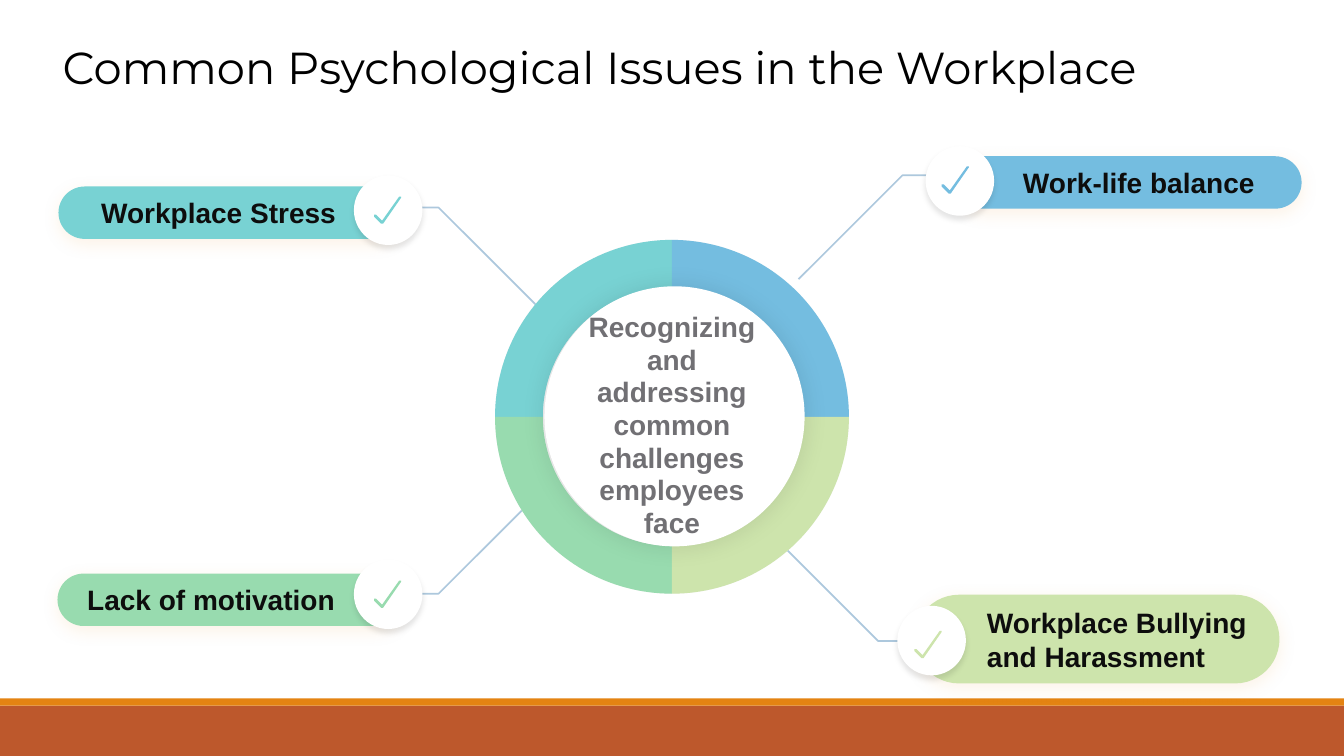
"""Build a slide with a four-part ring and four labelled workplace issues."""
from dataclasses import dataclass

from lxml.etree import SubElement
from pptx import Presentation
from pptx.dml.color import RGBColor
from pptx.enum.shapes import MSO_SHAPE as Preset
from pptx.enum.text import MSO_ANCHOR as Anchor, PP_ALIGN as Align
from pptx.oxml.ns import qn
from pptx.util import Inches, Pt


@dataclass(frozen=True)
class Theme:
    teal: str = "78D2D3"
    blue: str = "74BDE0"
    green: str = "98DBAF"
    lime: str = "CDE4AC"
    leader: str = "ADC8DD"
    orange: str = "E48312"
    rust: str = "BD582C"
    white: str = "FFFFFF"
    ring_base: str = "F2F2F2"
    black: str = "000000"
    label: str = "0D0D0D"
    hub_text: str = "717074"
    title_font: str = "Montserrat"
    body_font: str = "Arial"
    title_size: int = 32
    body_size: int = 20


@dataclass(frozen=True)
class Issue:
    text: str
    color: str
    pill: tuple
    badge: tuple
    check: tuple
    leader_start: tuple
    side: int
    vertical: int
    ring_angle: int


THEME = Theme()
TITLE = "Common Psychological Issues in the Workplace"
HUB_TEXT = "Recognizing and addressing common challenges employees face"
ISSUES = [
    Issue("Workplace Stress", THEME.teal, (0.58, 1.85, 3.42, 0.52),
          (3.51, 1.74), (3.71, 1.94), (5.38, 3.09), -1, -1, 180),
    Issue("Work-life balance", THEME.blue, (9.48, 1.55, 3.43, 0.52),
          (9.18, 1.45), (9.34, 1.64), (7.92, 2.77), 1, -1, 270),
    Issue("Lack of motivation", THEME.green, (0.57, 5.69, 3.42, 0.52),
          (3.51, 5.55), (3.71, 5.75), (5.38, 4.86), -1, 1, 90),
    Issue("Workplace Bullying and Harassment", THEME.lime, (9.07, 5.9, 3.62, 0.88),
          (8.9, 6.01), (9.07, 6.25), (7.68, 5.33), 1, 1, 0),
]
FOOTER_BARS = [(THEME.rust, (0, 7, 13.33, 0.5)), (THEME.orange, (0, 6.93, 13.33, 0.07))]
TITLE_BOX = (0.52, 0.4, 12.29, 0.67)
RING_BOX = (4.91, 2.38, 3.51, 3.51)
HUB_BOX = (5.4, 2.84, 2.58, 2.58)
HUB_TEXT_BOX = (5.65, 3.09, 2.03, 1.82)
BADGE_SIZE = (0.68, 0.69)
RING_THICKNESS = 0.135
LEADER_SLANT, LEADER_RUN = 1.03, 3.76
CHECK_OUTLINE = [(0.27, 0.01), (0.25, 0.01), (0.08, 0.25), (0.02, 0.19), (0, 0.19),
                 (0, 0.21), (0.07, 0.28), (0.09, 0.28), (0.27, 0.02)]
PILL_SHADOW = (THEME.orange, 13, 3)
HUB_SHADOW = (THEME.black, 17, 0)
BADGE_SHADOW = (THEME.black, 4, 3)


def set_values(target, values):
    for name, value in values.items():
        setattr(target, name, value)


def paint(shape, color):
    shape.shadow.inherit = False
    shape.fill.solid()
    shape.fill.fore_color.rgb = RGBColor.from_string(color)
    shape.line.fill.background()


def add_preset(slide, preset, box, color, adjustments=(), shadow=None):
    shape = slide.shapes.add_shape(preset, *map(Inches, box))
    paint(shape, color)
    for index, value in enumerate(adjustments):
        shape.adjustments[index] = value
    if shadow:
        shadow_color, blur, distance = shadow
        effects = shape._element.spPr.find(qn("a:effectLst"))
        outer = SubElement(effects, qn("a:outerShdw"), blurRad=str(Pt(blur)),
                           dist=str(Pt(distance)), dir="5400000", rotWithShape="0")
        tint = SubElement(outer, qn("a:srgbClr"), val=shadow_color)
        SubElement(tint, qn("a:alpha"), val="10000")
    return shape


def add_outline(slide, points, close):
    start, *rest = [tuple(map(Inches, point)) for point in points]
    builder = slide.shapes.build_freeform(*start)
    builder.add_line_segments(rest, close=close)
    return builder.convert_to_shape()


def write(shape, text, color, font, size, bold, align, spacing, insets, anchor):
    frame = shape.text_frame
    sides = ("margin_left", "margin_top", "margin_right", "margin_bottom")
    set_values(frame, dict(zip(sides, map(Inches, insets))))
    set_values(frame, {"word_wrap": True, "vertical_anchor": anchor, "text": text})
    paragraph = frame.paragraphs[0]
    set_values(paragraph, {"alignment": align, "line_spacing": spacing})
    run_font = paragraph.runs[0].font
    set_values(run_font, {"name": font, "size": Pt(size), "bold": bold})
    run_font.color.rgb = RGBColor.from_string(color)


def add_leader(slide, issue):
    x, y = issue.leader_start
    bend_x, bend_y = x + issue.side * LEADER_SLANT, y + issue.vertical * LEADER_SLANT
    end_x = bend_x + issue.side * LEADER_RUN
    leader = add_outline(slide, [(x, y), (bend_x, bend_y), (end_x, bend_y)], False)
    leader.shadow.inherit = False
    leader.fill.background()
    leader.line.color.rgb = RGBColor.from_string(THEME.leader)
    leader.line.width = Pt(1.25)


def add_pill(slide, issue):
    pill = add_preset(slide, Preset.ROUNDED_RECTANGLE, issue.pill, issue.color,
                      [0.5], PILL_SHADOW)
    on_left = issue.side < 0
    insets = (0.1, 0.05, 0.59, 0.05) if on_left else (0.59, 0.05, 0.1, 0.05)
    write(pill, issue.text, THEME.label, THEME.body_font, THEME.body_size, True,
          Align.RIGHT if on_left else Align.LEFT, 1.0, insets, Anchor.MIDDLE)


def add_ring(slide):
    add_preset(slide, Preset.OVAL, RING_BOX, THEME.ring_base)
    for issue in ISSUES:
        angles = [angle % 360 * 0.6 for angle in (issue.ring_angle, issue.ring_angle + 90)]
        add_preset(slide, Preset.BLOCK_ARC, RING_BOX, issue.color,
                   [*angles, RING_THICKNESS])


def add_badge(slide, issue):
    add_preset(slide, Preset.OVAL, issue.badge + BADGE_SIZE, THEME.white,
               shadow=BADGE_SHADOW)
    left, top = issue.check
    check = add_outline(slide, [(left + x, top + y) for x, y in CHECK_OUTLINE], True)
    paint(check, issue.color)


def main():
    presentation = Presentation()
    set_values(presentation, {"slide_width": Inches(13.33), "slide_height": Inches(7.5)})
    slide = presentation.slides.add_slide(presentation.slide_layouts[5])
    for color, box in FOOTER_BARS:
        add_preset(slide, Preset.RECTANGLE, box, color)
    title = slide.shapes.title
    set_values(title, dict(zip(("left", "top", "width", "height"), map(Inches, TITLE_BOX))))
    write(title, TITLE, THEME.black, THEME.title_font, THEME.title_size, False,
          Align.LEFT, 0.9, (0.1, 0.05, 0.1, 0.05), Anchor.TOP)
    for issue in ISSUES:
        add_leader(slide, issue)
    add_ring(slide)
    for issue in ISSUES:
        add_pill(slide, issue)
    add_preset(slide, Preset.OVAL, HUB_BOX, THEME.white, shadow=HUB_SHADOW)
    for issue in ISSUES:
        add_badge(slide, issue)
    hub_text = slide.shapes.add_textbox(*map(Inches, HUB_TEXT_BOX))
    write(hub_text, HUB_TEXT, THEME.hub_text, THEME.body_font, THEME.body_size, True,
          Align.CENTER, 0.97, (0, 0, 0, 0), Anchor.TOP)
    presentation.save("out.pptx")


if __name__ == "__main__":
    main()
